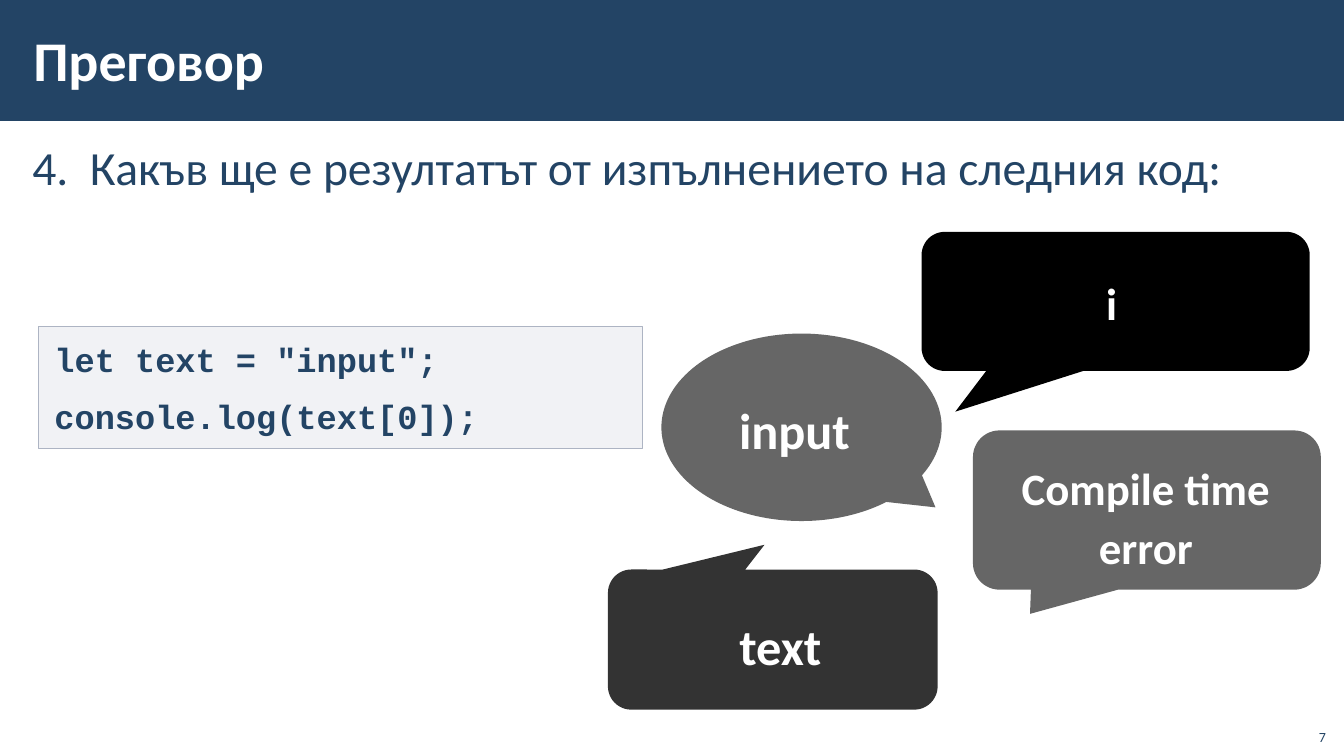
from lxml.etree import SubElement
from pptx import Presentation
from pptx.dml.color import RGBColor
from pptx.enum.shapes import MSO_SHAPE
from pptx.enum.text import MSO_ANCHOR, PP_ALIGN
from pptx.oxml.ns import qn
from pptx.util import Inches, Pt

WIDTH, HEIGHT = 13.33, 7.5
NAVY = RGBColor(0x23, 0x44, 0x65)
WHITE = RGBColor(0xFF, 0xFF, 0xFF)
BLACK = RGBColor(0x00, 0x00, 0x00)
GREY = RGBColor(0x66, 0x66, 0x66)
MIST = RGBColor(0xA3, 0xAB, 0xBC)
EDGE = RGBColor(0xAD, 0xB4, 0xC3)
NARROW, WIDE = (0.12, 0.04), (0.16, 0.12)
ROUND, ELLIPSE = MSO_SHAPE.ROUNDED_RECTANGULAR_CALLOUT, MSO_SHAPE.OVAL_CALLOUT

CALLOUTS = [
    dict(text="Compile time error", box=(9.65, 4.27, 3.45, 1.58),
         label=(0.16, 0.13, 3.11, 1.41), tail=(-0.336, 0.652), fill=GREY),
    dict(text="input", box=(6.56, 3.31, 2.78, 1.86), label=(0.11, 0.53, 2.19, 0.84),
         tail=(0.478, 0.427), fill=GREY, kind=ELLIPSE, size=36,
         align=PP_ALIGN.LEFT, spacing=None, indent=0.5),
    dict(text="i", box=(9.14, 2.3, 3.85, 1.38), label=(0.2, 0.26, 3.37, 0.82),
         tail=(-0.413, 0.793), fill=BLACK),
    dict(text="text", box=(6.03, 5.65, 3.27, 1.39), label=(0.35, 0.27, 2.72, 0.9),
         tail=(-0.025, -0.677), fill=BLACK, opacity=80, size=36),
]


def write(shape, text, size, color=NAVY, font="Calibri", bold=False, align=PP_ALIGN.LEFT,
          anchor=MSO_ANCHOR.TOP, insets=NARROW, spacing=None, gap=None, indent=0, hanging=0):
    """Fill a shape with formatted text, one paragraph per line."""
    frame = shape.text_frame
    frame.word_wrap = True
    frame.vertical_anchor = anchor
    frame.margin_left = frame.margin_right = Inches(insets[0])
    frame.margin_top = frame.margin_bottom = Inches(insets[1])
    for index, line in enumerate(text.split("\n")):
        para = frame.add_paragraph() if index else frame.paragraphs[0]
        para.alignment = align
        para.line_spacing = spacing
        if gap is not None:
            para.space_before = para.space_after = Pt(gap)
        if indent:
            properties = para._p.get_or_add_pPr()
            properties.set("marL", str(Inches(indent)))
            properties.set("indent", str(-Inches(hanging)))
        span = para.add_run()
        span.text = line
        span.font.name = font
        span.font.size = Pt(size)
        span.font.bold = bold
        span.font.color.rgb = color


def add_text(parent, box, text, size, **style):
    """Place a text box in the given box."""
    write(parent.shapes.add_textbox(*map(Inches, box)), text, size, **style)


def add_filled(parent, kind, box, fill, opacity=100):
    """Place a flat shape without an outline in the given box."""
    shape = parent.shapes.add_shape(kind, *map(Inches, box))
    shape.shadow.inherit = False
    shape.line.fill.background()
    shape.fill.solid()
    shape.fill.fore_color.rgb = fill
    if opacity < 100:
        color = shape._element.spPr.find(qn("a:solidFill"))[0]
        SubElement(color, qn("a:alpha")).set("val", str(opacity * 1000))
    return shape


def add_header(page, box, title):
    """Draw the title band."""
    left, top, width, height = box
    add_filled(page, MSO_SHAPE.RECTANGLE, box, NAVY)
    add_text(page, (left + 0.21, top + 0.11, width * 0.8, height * 0.8), title, 40,
             color=WHITE, bold=True, anchor=MSO_ANCHOR.MIDDLE)


def add_code(page, box, code):
    """Draw the framed code sample."""
    panel = add_filled(page, MSO_SHAPE.RECTANGLE, box, MIST, opacity=15)
    panel.line.color.rgb = EDGE
    panel.line.width = Pt(1)
    write(panel, code, 24, font="Courier New", bold=True, insets=WIDE, gap=6)


def add_callout(page, text, box, label, tail, fill, kind=ROUND, opacity=100, size=32,
                align=PP_ALIGN.CENTER, spacing=1.1, indent=0):
    """Group a speech bubble with its label, which is offset from the bubble."""
    group = page.shapes.add_group_shape()
    bubble = add_filled(group, kind, box, fill, opacity)
    bubble.adjustments[0], bubble.adjustments[1] = tail
    left, top, width, height = label
    add_text(group, (box[0] + left, box[1] + top, width, height), text, size, color=WHITE,
             bold=True, align=align, insets=WIDE, spacing=spacing, indent=indent)


def build_question(page):
    """Lay out the review question with its possible answers."""
    add_header(page, (0, 0, WIDTH, HEIGHT * 0.16), "Преговор")
    add_text(page, (0.2, 1.3, WIDTH - 0.42, 5.67),
             "4.\tКакъв ще е резултатът от изпълнението на следния код:", 34,
             spacing=1.05, gap=6, indent=0.57, hanging=0.57)
    add_code(page, (0.38, 3.24, 5.99, 1.21), 'let text = "input";\nconsole.log(text[0]);')
    for callout in CALLOUTS:
        add_callout(page, **callout)
    add_text(page, (WIDTH - 0.48, HEIGHT - 0.38, 0.4, 0.32), "7", 10,
             align=PP_ALIGN.RIGHT, anchor=MSO_ANCHOR.BOTTOM, insets=(0.1, 0.05))


def main():
    """Build and save the deck."""
    deck = Presentation()
    deck.slide_width, deck.slide_height = Inches(WIDTH), Inches(HEIGHT)
    build_question(deck.slides.add_slide(deck.slide_layouts[6]))
    deck.save("out.pptx")


if __name__ == "__main__":
    main()
